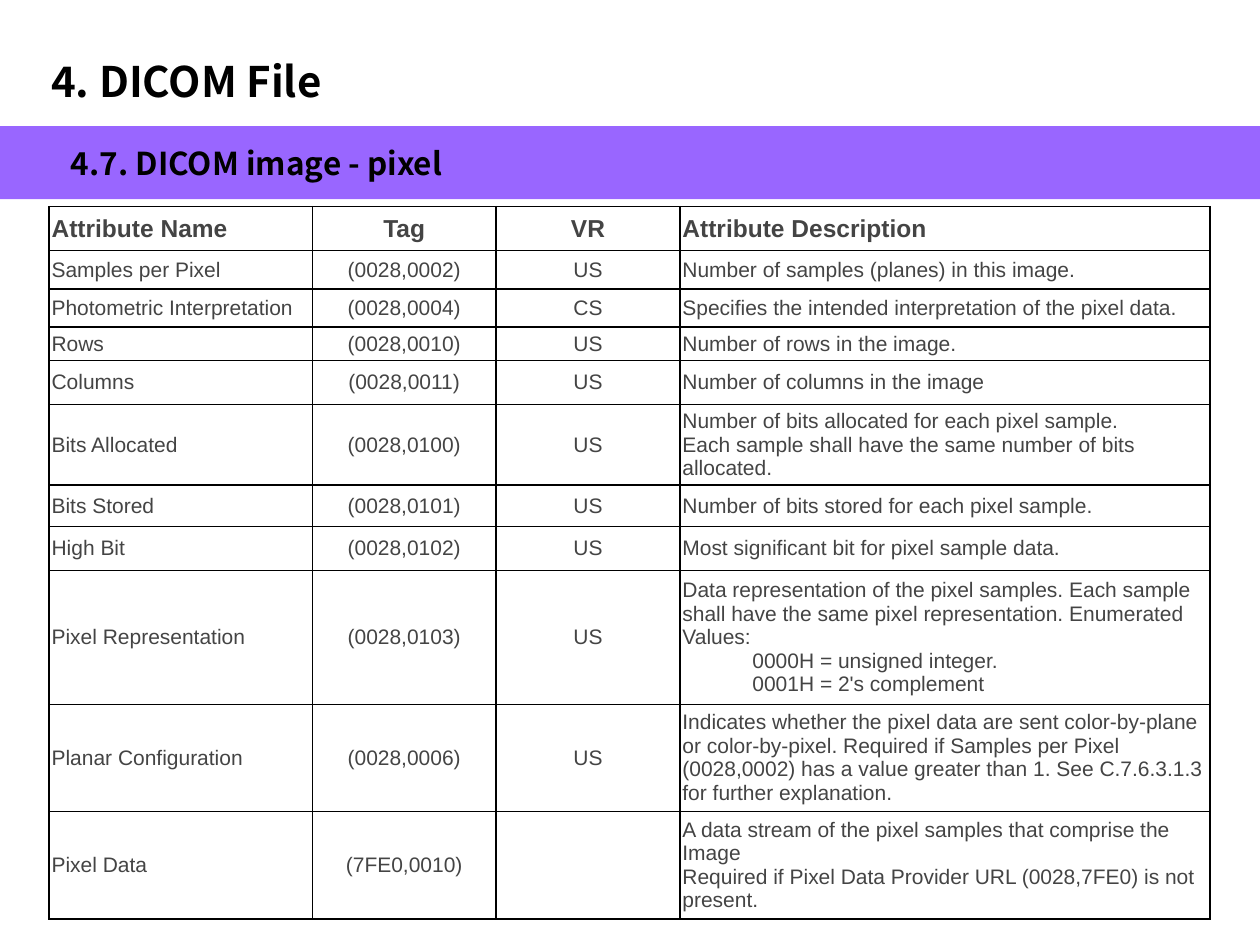
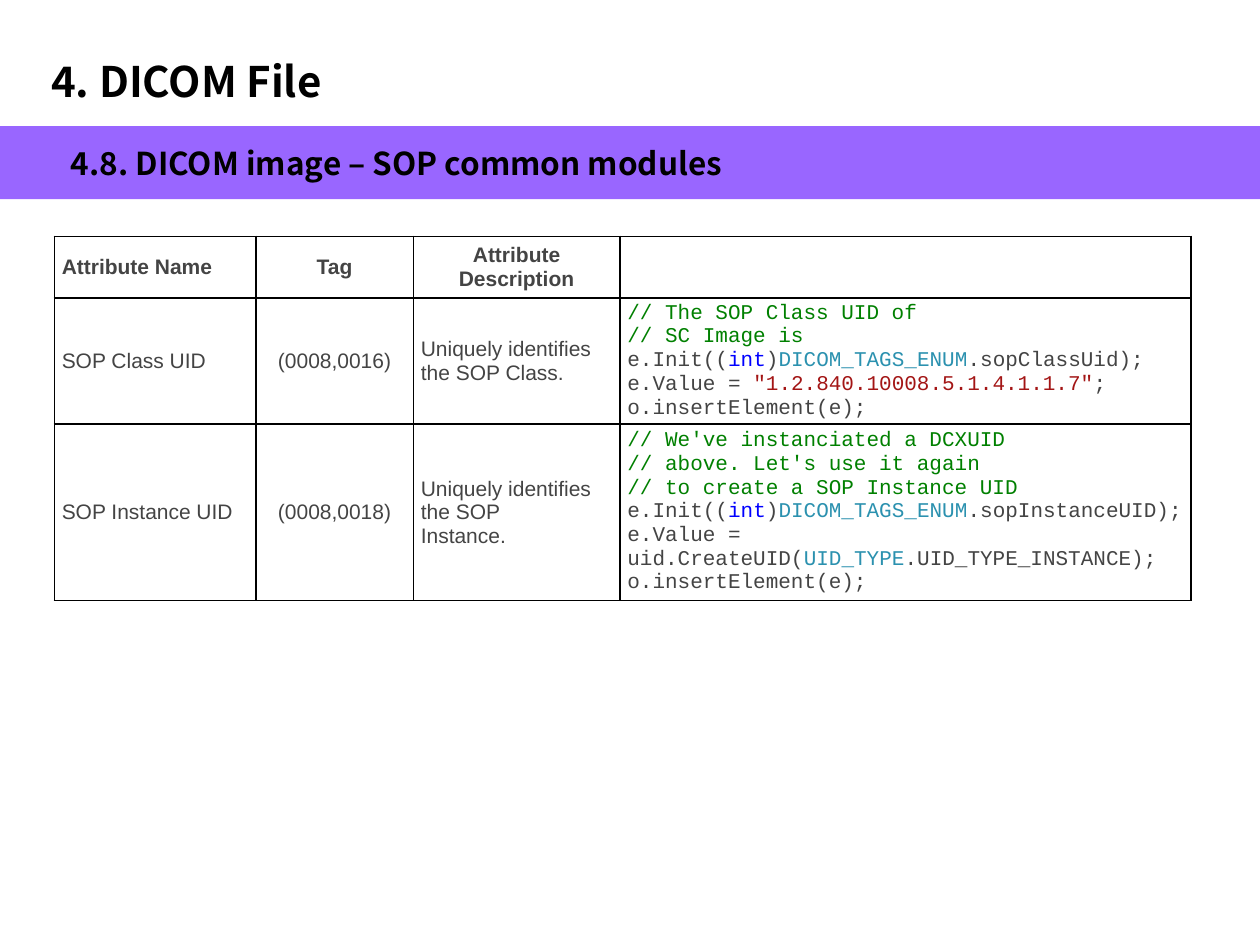
from lxml import etree
from pptx import Presentation
from pptx.dml.color import RGBColor
from pptx.enum.shapes import MSO_SHAPE
from pptx.enum.text import MSO_ANCHOR, MSO_AUTO_SIZE, PP_ALIGN
from pptx.oxml.ns import qn
from pptx.util import Pt

LEFT, CENTER = PP_ALIGN.LEFT, PP_ALIGN.CENTER
MIDDLE = MSO_ANCHOR.MIDDLE
NO_FIT = MSO_AUTO_SIZE.NONE
RECT = MSO_SHAPE.RECTANGLE

HEAD_FONT, BODY_FONT, CODE_FONT = "Noto Sans CJK KR", "Arial", "Courier New"
BLACK, GRAY, PURPLE = "000000", "444444", "9966FF"
GREEN, BLUE, TEAL, RED = "008000", "0000FF", "2B91AF", "A31515"


def set_font(font, name, size, color, bold=False):
    font.name = name
    font.size = Pt(size)
    font.bold = bold
    font.color.rgb = RGBColor.from_string(color)


def set_borders(cell):
    tcPr = cell._tc.get_or_add_tcPr()
    for i, side in enumerate(("a:lnL", "a:lnR", "a:lnT", "a:lnB")):
        ln = etree.Element(qn(side), w=str(Pt(1)))
        fill = etree.SubElement(ln, qn("a:solidFill"))
        etree.SubElement(fill, qn("a:srgbClr"), val=BLACK)
        tcPr.insert(i, ln)


pixel_rows = [
    ["Attribute Name", "Tag", "VR", "Attribute Description"],
    ["Samples per Pixel", "(0028,0002)", "US", "Number of samples (planes) in this image."],
    ["Photometric Interpretation", "(0028,0004)", "CS",
     "Specifies the intended interpretation of the pixel data."],
    ["Rows", "(0028,0010)", "US", "Number of rows in the image."],
    ["Columns", "(0028,0011)", "US", "Number of columns in the image"],
    ["Bits Allocated", "(0028,0100)", "US",
     "Number of bits allocated for each pixel sample.\n"
     "Each sample shall have the same number of bits allocated."],
    ["Bits Stored", "(0028,0101)", "US", "Number of bits stored for each pixel sample."],
    ["High Bit", "(0028,0102)", "US", "Most significant bit for pixel sample data."],
    ["Pixel Representation", "(0028,0103)", "US",
     "Data representation of the pixel samples. Each sample shall have the same "
     "pixel representation. Enumerated Values:\n"
     "0000H = unsigned integer.\n0001H = 2's complement"],
    ["Planar Configuration", "(0028,0006)", "US",
     "Indicates whether the pixel data are sent color-by-plane or color-by-pixel. "
     "Required if Samples per Pixel (0028,0002) has a value greater than 1. "
     "See C.7.6.3.1.3 for further explanation."],
    ["Pixel Data", "(7FE0,0010)", "",
     "A data stream of the pixel samples that comprise the Image\n"
     "Required if Pixel Data Provider URL (0028,7FE0) is not present."],
]

class_code = [
    [("// The SOP Class UID of", GREEN)],
    [("// SC Image is", GREEN)],
    [("e.Init((", GRAY), ("int", BLUE), (")", GRAY), ("DICOM_TAGS_ENUM", TEAL),
     (".sopClassUid);", GRAY)],
    [("e.Value = ", GRAY), ('"1.2.840.10008.5.1.4.1.1.7"', RED), (";", GRAY)],
    [("o.insertElement(e);", GRAY)],
]
instance_code = [
    [("// We've instanciated a DCXUID", GREEN)],
    [("// above. Let's use it again", GREEN)],
    [("// to create a SOP Instance UID", GREEN)],
    [("e.Init((", GRAY), ("int", BLUE), (")", GRAY), ("DICOM_TAGS_ENUM", TEAL),
     (".sopInstanceUID);", GRAY)],
    [("e.Value = uid.CreateUID(", GRAY), ("UID_TYPE", TEAL), (".UID_TYPE_INSTANCE);", GRAY)],
    [("o.insertElement(e);", GRAY)],
]
sop_rows = [
    ["Attribute Name", "Tag", "Attribute Description", ""],
    ["SOP Class UID", "(0008,0016)", "Uniquely identifies the SOP Class.", class_code],
    ["SOP Instance UID", "(0008,0018)", "Uniquely identifies the SOP\vInstance.", instance_code],
]

slides = [
    dict(subtitle="4.7. DICOM image - pixel", width=304, left=28, top=118, inset=1.5,
         head_size=14, centered=[1, 2], cols=[150.5, 105, 105, 303], rows=pixel_rows,
         heights=[25.2, 22, 21.7, 19, 25.2, 46.2, 23.5, 25.2, 76.5, 61.2, 61.5]),
    dict(subtitle="4.8. DICOM image – SOP common modules", width=462, left=31, top=135,
         inset=4.3, head_size=12, centered=[1], cols=[115.2, 90, 118, 326.3],
         rows=sop_rows, heights=[35.3, 72, 100.8]),
]

prs = Presentation()
prs.slide_width, prs.slide_height = Pt(720), Pt(540)
tables = []

for data in slides:
    s = prs.slides.add_slide(prs.slide_layouts[5])

    band = s.shapes.add_shape(RECT, 0, Pt(72), Pt(720), Pt(41.8))
    band.shadow.inherit = False
    band.fill.solid()
    band.fill.fore_color.rgb = RGBColor.from_string(PURPLE)
    band.line.fill.background()

    title = s.shapes.title
    title.left, title.top, title.width, title.height = Pt(22), Pt(28), Pt(174.5), Pt(36)
    subtitle = s.shapes.add_textbox(Pt(33.5), Pt(78.5), Pt(data["width"]), Pt(29))
    for sp, text, size, wrap in ((title, "4. DICOM File", 24, False),
                                 (subtitle, data["subtitle"], 18, True)):
        tf = sp.text_frame
        tf.text = text
        tf.word_wrap = wrap
        tf.auto_size = NO_FIT
        tf.vertical_anchor = MIDDLE
        p = tf.paragraphs[0]
        p.alignment = LEFT
        set_font(p.font, HEAD_FONT, size, BLACK, True)

    cols, heights = data["cols"], data["heights"]
    table = s.shapes.add_table(len(heights), len(cols), Pt(data["left"]), Pt(data["top"]),
                               Pt(sum(cols)), Pt(sum(heights))).table
    table.first_row = table.horz_banding = False
    tables.append(table)
    for column, width in zip(table.columns, cols):
        column.width = Pt(width)
    for row, height in zip(table.rows, heights):
        row.height = Pt(height)

    for i, values in enumerate(data["rows"]):
        header = i == 0
        for j, value in enumerate(values):
            cell = table.cell(i, j)
            cell.fill.background()
            set_borders(cell)
            cell.vertical_anchor = MIDDLE
            cell.margin_left = cell.margin_right = Pt(data["inset"])
            cell.margin_top = cell.margin_bottom = 0
            tf = cell.text_frame
            if isinstance(value, str):
                tf.text = value
                centered = j in data["centered"] or (header and j == 2)
                for p in tf.paragraphs:
                    p.alignment = CENTER if centered else LEFT
                    set_font(p.font, BODY_FONT, data["head_size"] if header else 12, GRAY, header)
                continue
            for k, line in enumerate(value):
                p = tf.add_paragraph() if k else tf.paragraphs[0]
                set_font(p.font, CODE_FONT, 12, line[0][1])
                for text, color in line:
                    r = p.add_run()
                    r.text = text
                    if color != line[0][1]:
                        r.font.color.rgb = RGBColor.from_string(color)

for p in tables[0].cell(8, 3).text_frame.paragraphs[1:]:
    p._p.get_or_add_pPr().set("marL", str(Pt(40)))

prs.save("out.pptx")
